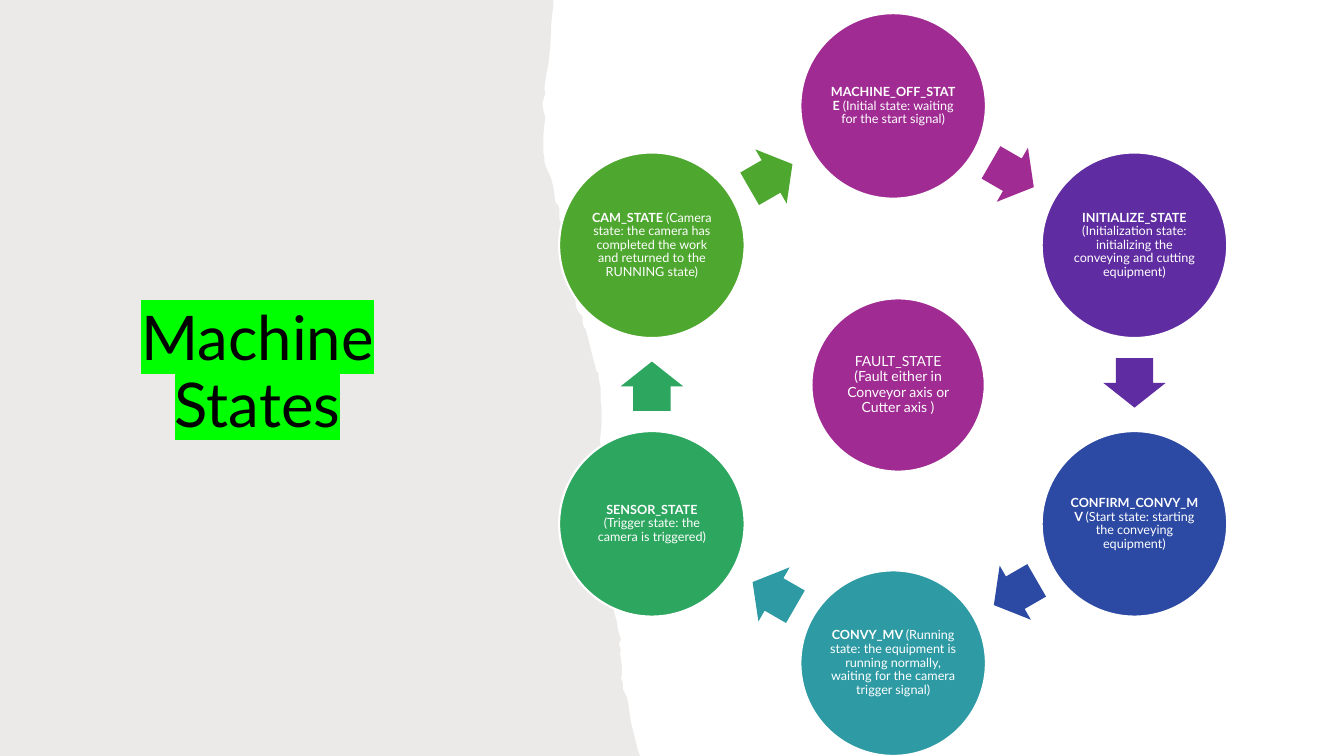
import math

from lxml import etree
from pptx import Presentation
from pptx.dml.color import RGBColor
from pptx.enum import shapes, text
from pptx.oxml.ns import qn
from pptx.util import Pt

FONT = "Lato"
WHITE = RGBColor(0xFF, 0xFF, 0xFF)
BLACK = RGBColor(0, 0, 0)
STONE = RGBColor(0x82, 0x76, 0x6A)
PURPLE = RGBColor(0xA0, 0x2B, 0x93)
VIOLET = RGBColor(0x5F, 0x2C, 0xA1)
BLUE = RGBColor(0x2C, 0x49, 0xA3)
TEAL = RGBColor(0x2D, 0x9A, 0xA4)
EMERALD = RGBColor(0x2D, 0xA6, 0x5F)
GREEN = RGBColor(0x4E, 0xA7, 0x2E)
HIGHLIGHT = RGBColor(0, 0xFF, 0)

RING_X, RING_Y, RING_R = 638, 274.7, 199
STATE_D, FAULT_D = 132.5, 123.8
ARROW_W, ARROW_H, ARROW_LAG = 35.3, 44.6, 1.2

STATES = [
    ("MACHINE_OFF_STATE ", "(Initial state: waiting for the start signal)", PURPLE),
    ("INITIALIZE_STATE ", "(Initialization state: initializing the conveying and "
     "cutting equipment)", VIOLET),
    ("CONFIRM_CONVY_MV ", "(Start state: starting the conveying equipment)", BLUE),
    ("CONVY_MV ", "(Running state: the equipment is running normally, waiting for "
     "the camera trigger signal)", TEAL),
    ("SENSOR_STATE ", "(Trigger state: the camera is triggered)", EMERALD),
    ("CAM_STATE ", "(Camera state: the camera has completed the work and returned "
     "to the RUNNING state)", GREEN),
]

# Torn edge from top to bottom, in hundredths of an inch
TORN_EDGE = [
    (549, 0), (549, 5), (547, 22), (546, 45), (544, 64), (542, 74), (540, 88),
    (541, 92), (540, 96), (539, 99), (538, 103), (539, 109), (541, 117),
    (540, 124), (539, 135), (539, 151), (540, 157), (540, 160), (541, 164),
    (544, 171), (546, 175), (547, 178), (549, 186), (550, 193), (551, 200),
    (552, 202), (554, 204), (555, 208), (555, 217), (556, 220), (557, 226),
    (558, 232), (560, 238), (564, 247), (565, 250), (567, 254), (568, 258),
    (568, 263), (569, 268), (570, 274), (572, 290), (571, 296), (571, 302),
    (572, 306), (574, 310), (578, 314), (578, 320), (579, 324), (581, 327),
    (583, 334), (584, 338), (587, 350), (590, 362), (592, 369), (594, 370),
    (594, 376), (596, 385), (596, 399), (597, 405), (597, 420), (595, 439),
    (597, 443), (597, 448), (596, 456), (597, 473), (597, 484), (598, 489),
    (600, 494), (599, 502), (598, 510), (597, 514), (596, 521), (597, 524),
    (599, 530), (601, 535), (603, 543), (603, 561), (605, 569), (604, 575),
    (605, 578), (607, 586), (608, 597), (609, 606), (612, 617), (613, 625),
    (616, 634), (614, 639), (616, 645), (615, 647), (616, 654), (617, 662),
    (617, 669), (616, 673), (618, 678), (618, 684), (620, 688), (622, 692),
    (623, 696), (626, 717), (633, 745), (635, 750),
]


def paint(sp, colour):
    sp.shadow.inherit = False
    sp.fill.solid()
    sp.fill.fore_color.rgb = colour
    sp.line.fill.background()


def add_panel(s):
    builder = s.shapes.build_freeform(0, 0, scale=Pt(0.72))
    builder.add_line_segments(TORN_EDGE + [(0, 750)], close=True)
    sp = builder.convert_to_shape()
    paint(sp, STONE)
    colour = sp.fill._xPr.find(qn("a:solidFill"))[0]
    etree.SubElement(colour, qn("a:alpha"), val="15000")


def add_run(p, words, size, colour, bold=False):
    r = p.add_run()
    r.text = words
    r.font.name, r.font.size, r.font.bold = FONT, Pt(size), bold
    r.font.color.rgb = colour
    return r


def centred_paragraph(tf, anchor):
    tf.word_wrap = True
    tf.vertical_anchor = anchor
    p = tf.paragraphs[0]
    p.alignment = text.PP_ALIGN.CENTER
    p.line_spacing = 0.9
    return p


def highlight(r, colour):
    mark = etree.Element(qn("a:highlight"))
    etree.SubElement(mark, qn("a:srgbClr"), val=str(colour))
    r.font._element.find(qn("a:solidFill")).addnext(mark)


def add_title(s, words):
    sp = s.shapes.add_textbox(Pt(34.6), Pt(253.4), Pt(298.8), Pt(64.8))
    p = centred_paragraph(sp.text_frame, text.MSO_ANCHOR.BOTTOM)
    highlight(add_run(p, words, 44, BLACK), HIGHLIGHT)


def add_centred(s, kind, x, y, w, h, colour):
    """Add a preset shape whose middle is at x, y."""
    sp = s.shapes.add_shape(kind, Pt(x - w / 2), Pt(y - h / 2), Pt(w), Pt(h))
    paint(sp, colour)
    return sp


def add_circle(s, x, y, d, colour, runs, size):
    """Add a white-rimmed circle; runs holds (words, bold) pairs."""
    sp = add_centred(s, shapes.MSO_SHAPE.OVAL, x, y, d, d, colour)
    sp.line.color.rgb = WHITE
    sp.line.width = Pt(1.5)
    tf = sp.text_frame
    tf.margin_left = tf.margin_right = tf.margin_top = tf.margin_bottom = Pt(0.9)
    p = centred_paragraph(tf, text.MSO_ANCHOR.MIDDLE)
    for words, bold in runs:
        add_run(p, words, size, WHITE, bold)


def add_arrow(s, x, y, turn, colour):
    sp = add_centred(s, shapes.MSO_SHAPE.RIGHT_ARROW, x, y, ARROW_W, ARROW_H, colour)
    sp.adjustments[0], sp.adjustments[1] = 0.6, 0.5
    sp.rotation = turn


def ring_point(degrees, radius):
    """Point on the ring, clockwise from the top."""
    a = math.radians(degrees)
    return RING_X + radius * math.sin(a), RING_Y - radius * math.cos(a)


def add_cycle(s):
    step = 360 / len(STATES)
    for i, (name, meaning, colour) in enumerate(STATES):
        x, y = ring_point(i * step, RING_R)
        add_circle(s, x, y, STATE_D, colour, [(name, True), (meaning, False)], 9)
        turn = (i + 0.5) * step
        x, y = ring_point(turn, RING_R * math.cos(math.radians(step / 2)))
        a = math.radians(turn)
        add_arrow(s, x - ARROW_LAG * math.cos(a), y - ARROW_LAG * math.sin(a),
                  turn, colour)


def main():
    prs = Presentation()
    prs.slide_width, prs.slide_height = Pt(960), Pt(540)
    s = prs.slides.add_slide(prs.slide_layouts[6])
    add_panel(s)
    add_title(s, "Machine States")
    add_cycle(s)
    fault = "FAULT_STATE (Fault either in Conveyor axis or Cutter axis )"
    add_circle(s, 641.5, 275, FAULT_D, PURPLE, [(fault, False)], 10)
    prs.save("out.pptx")


if __name__ == "__main__":
    main()
